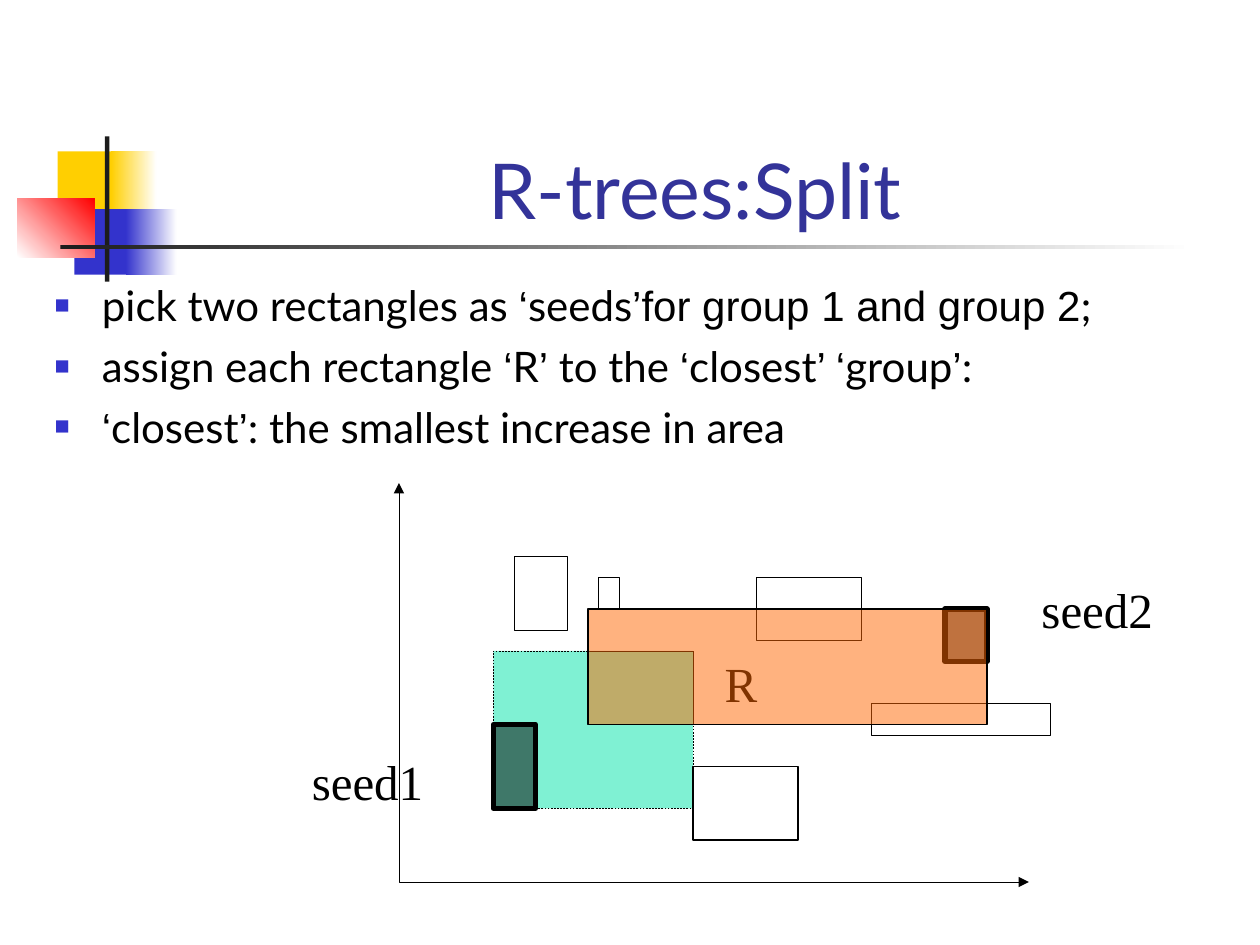
import pptx
import pptx.dml.color
import pptx.enum.dml
import pptx.enum.shapes
import pptx.enum.text
import pptx.oxml.ns
import pptx.util
from lxml import etree

Pt = pptx.util.Pt
RGB = pptx.dml.color.RGBColor
ALIGN = pptx.enum.text.PP_ALIGN
ANCHOR = pptx.enum.text.MSO_ANCHOR
AUTO = pptx.enum.text.MSO_AUTO_SIZE
DASH = pptx.enum.dml.MSO_LINE.DASH
RECT = pptx.enum.shapes.MSO_SHAPE.RECTANGLE

BLACK, WHITE = RGB(0, 0, 0), RGB(255, 255, 255)
YELLOW, BLUE, RED = RGB(0xFF, 0xCF, 0x01), RGB(0x33, 0x33, 0xCC), RGB(255, 0, 0)
CHARCOAL, NAVY = RGB(0x1C, 0x1C, 0x1C), RGB(0x33, 0x33, 0x99)
GREEN, ORANGE = RGB(0, 0xE4, 0xA8), RGB(0xFF, 0x66, 0)


def assign(obj, values):
    for name, value in values.items():
        setattr(obj, name, value)


def add_xml(parent, tag, **attrs):
    return etree.SubElement(parent, pptx.oxml.ns.qn(tag), attrs)


class Deck:
    TITLE = {"name": "Lato", "size": Pt(44)}
    BODY = {"size": Pt(24)}
    LABEL = {"name": "Times New Roman", "size": Pt(28)}
    BODY_FONTS = ("Lato", "Arial")

    def __init__(self):
        self.prs = pptx.Presentation()
        assign(self.prs, {"slide_width": Pt(720), "slide_height": Pt(540)})
        self.s = self.prs.slides.add_slide(self.prs.slide_layouts[1])

    def place(self, sp, box):
        assign(sp, dict(zip(("left", "top", "width", "height"), map(Pt, box))))

    def run(self, p, text, font, color):
        r = p.add_run()
        r.text = text
        assign(r.font, font)
        r.font.color.rgb = color

    def title(self, text, box):
        sp = self.s.shapes.title
        self.place(sp, box)
        tf = sp.text_frame
        assign(tf, {"vertical_anchor": ANCHOR.BOTTOM, "auto_size": AUTO.NONE})
        p = tf.paragraphs[0]
        p.alignment = ALIGN.CENTER
        self.run(p, text, self.TITLE, NAVY)

    def bullets(self, items, box):
        """Each item alternates between the two body fonts at every '|'."""
        sp = self.s.placeholders[1]
        self.place(sp, box)
        tf = sp.text_frame
        tf.auto_size = AUTO.NONE
        for i, item in enumerate(items):
            p = tf.add_paragraph() if i else tf.paragraphs[0]
            p.space_before = Pt(6)
            pPr = p._p.get_or_add_pPr()
            pPr.set("marL", str(Pt(27)))
            pPr.set("indent", str(-Pt(27)))
            add_xml(add_xml(pPr, "a:buClr"), "a:srgbClr", val=str(BLUE))
            add_xml(pPr, "a:buSzPct", val="60000")
            add_xml(pPr, "a:buFont", typeface="Arial")
            add_xml(pPr, "a:buChar", char="■")
            for j, text in enumerate(item.split("|")):
                if text:
                    font = dict(self.BODY, name=self.BODY_FONTS[j % 2])
                    self.run(p, text, font, BLACK)

    def line(self, sp, width, dash=None):
        sp.line.color.rgb = BLACK
        assign(sp.line, {"width": Pt(width), "dash_style": dash})

    def rect(self, box, fill=None, line=None, dash=None, alpha=None):
        sp = self.s.shapes.add_shape(RECT, *map(Pt, box))
        sp.shadow.inherit = False
        if fill is None:
            sp.fill.background()
        else:
            sp.fill.solid()
            sp.fill.fore_color.rgb = fill
        if alpha:
            clr = sp._element.xpath("./p:spPr/a:solidFill/a:srgbClr")[0]
            add_xml(clr, "a:alpha", val=str(alpha * 1000))
        if line:
            self.line(sp, line, dash)
        else:
            sp.line.fill.background()
        return sp

    def fade(self, box, start, end, angle=0):
        sp = self.rect(box)
        sp.fill.gradient()
        sp.fill.gradient_angle = angle
        for stop, color in zip(sp.fill.gradient_stops, (start, end)):
            stop.color.rgb = color

    def axes(self, start, *points):
        fb = self.s.shapes.build_freeform(*map(Pt, start))
        fb.add_line_segments([tuple(map(Pt, pt)) for pt in points], close=False)
        sp = fb.convert_to_shape()
        sp.shadow.inherit = False
        sp.fill.background()
        self.line(sp, 0.25)
        ln = sp._element.xpath("./p:spPr/a:ln")[0]
        for end in ("a:headEnd", "a:tailEnd"):
            add_xml(ln, end, type="triangle")

    def label(self, text, box):
        sp = self.s.shapes.add_textbox(*map(Pt, box))
        tf = sp.text_frame
        assign(tf, {"word_wrap": False, "vertical_anchor": ANCHOR.MIDDLE,
                    "auto_size": AUTO.SHAPE_TO_FIT_TEXT})
        p = tf.paragraphs[0]
        assign(p, {"alignment": ALIGN.CENTER, "space_before": Pt(17.5)})
        self.run(p, text, self.LABEL, BLACK)


def main():
    deck = Deck()

    # Corner ornament and title rule
    deck.rect((33, 86.5, 34.5, 37.5), YELLOW)
    deck.fade((63.5, 86.5, 26, 37.5), YELLOW, WHITE)
    deck.rect((42.5, 119.5, 33, 37.5), BLUE)
    deck.fade((72, 119.5, 29, 37.5), BLUE, WHITE)
    deck.fade((10, 113.5, 44, 33.5), WHITE, RED, 45)
    deck.rect((60, 78, 2.5, 83), CHARCOAL)
    deck.fade((34.5, 140, 648, 2.5), CHARCOAL, WHITE)

    # Title and list
    deck.title("R-trees:Split", (90.5, 48, 613.5, 90))
    deck.bullets([
        "pick two rectangles as |‘|seeds|’for group 1 and group 2|;",
        "assign each rectangle |‘|R|’| to the |‘|closest|’ ‘|group|’|:",
        "|‘|closest|’|: the smallest increase in area",
    ], (24, 156, 666, 324))

    # Group around seed 1, and the axes
    deck.rect((282, 372, 114, 90), GREEN, 0.25, DASH, 50)
    deck.label("seed1", (171, 426, 78, 41))
    deck.axes((228, 276), (228, 504), (588, 504))

    # Seeds
    for box in ((282, 414, 24, 48), (540, 348, 24, 30)):
        deck.rect(box, BLACK, 3, alpha=50)

    # Other rectangles
    deck.rect((396, 438, 60, 42), line=0.75)
    for box in ((342, 330, 12, 18), (336, 372, 60, 42), (294, 318, 30, 42),
                (432, 330, 60, 36), (498, 402, 102, 18)):
        deck.rect(box, line=0.25)

    # Labels, then the group around seed 2 on top
    deck.label("seed2", (588, 327.5, 78, 41))
    deck.label("R", (407, 369.5, 33, 41))
    deck.rect((336, 348, 228, 66), ORANGE, 0.75, alpha=50)

    deck.prs.save("out.pptx")


if __name__ == "__main__":
    main()
